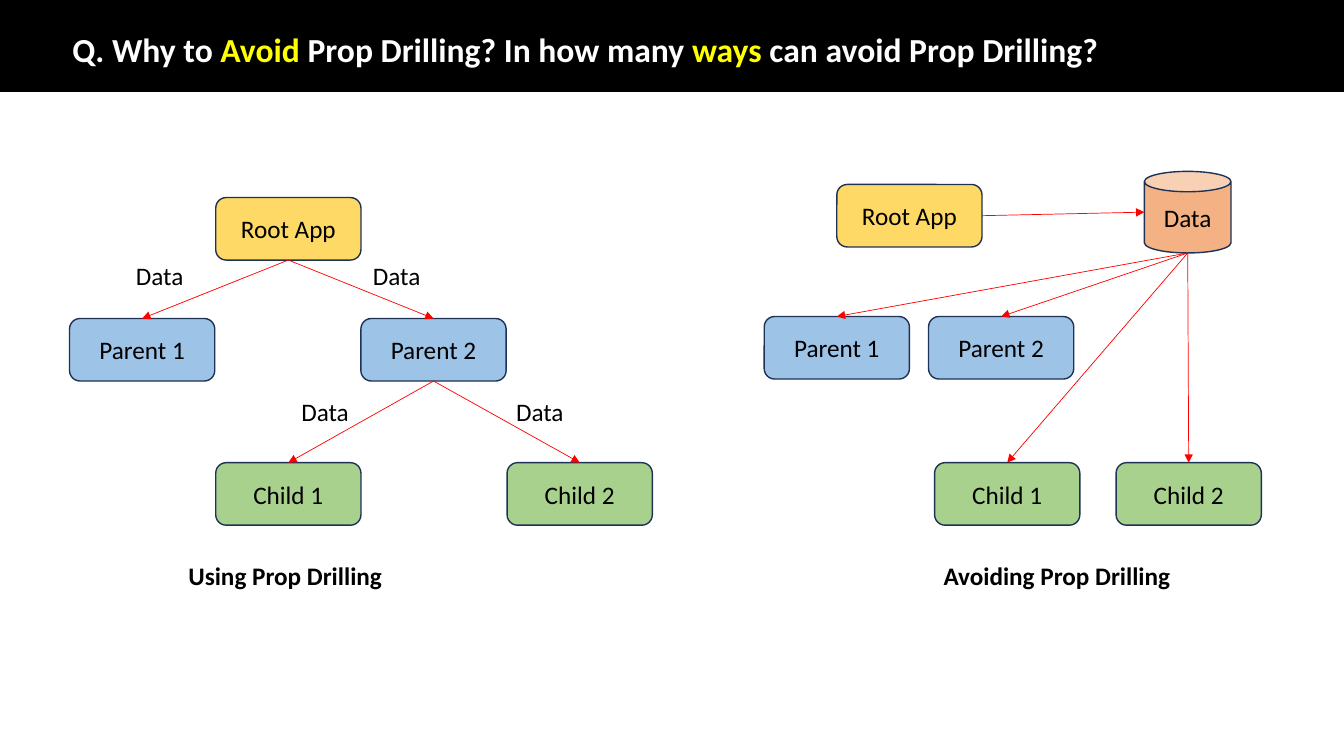
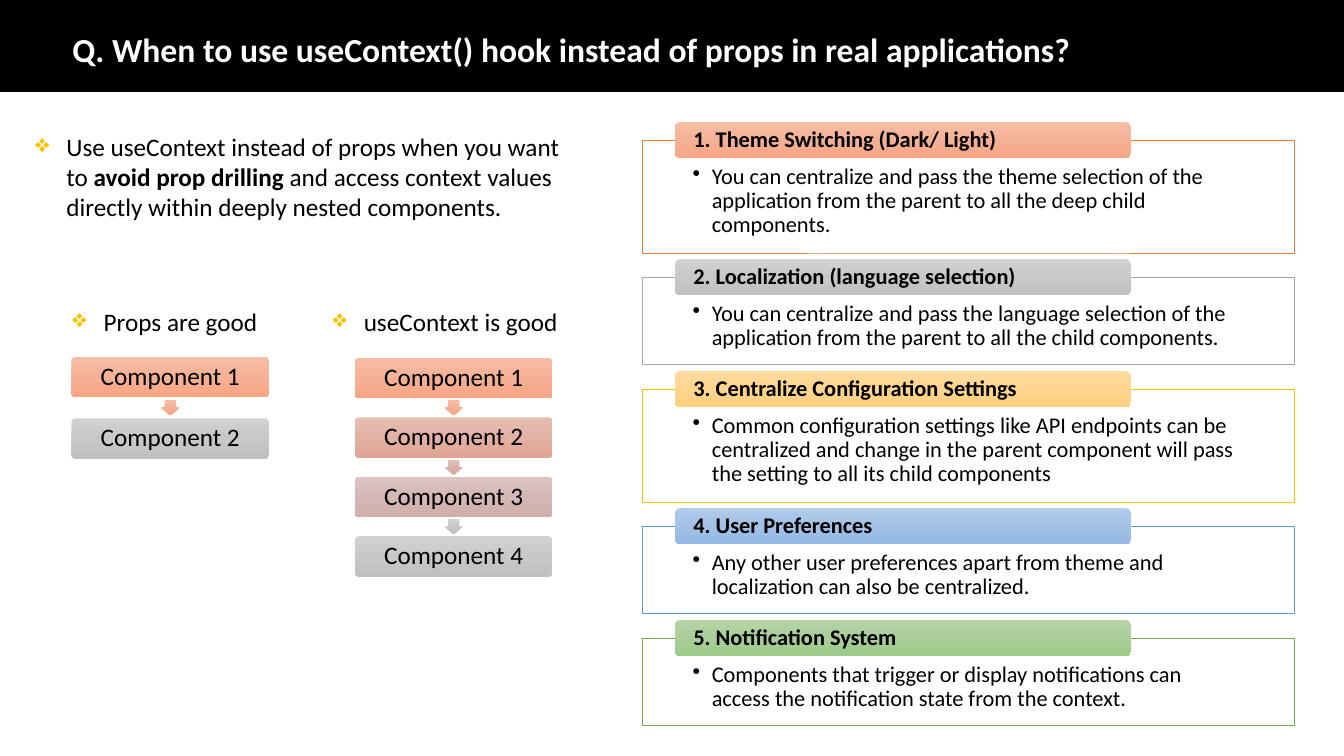
from copy import deepcopy

from lxml.etree import SubElement
from pptx import Presentation
from pptx.dml.color import RGBColor
from pptx.enum.shapes import MSO_CONNECTOR, MSO_SHAPE
from pptx.enum.text import MSO_ANCHOR, PP_ALIGN
from pptx.oxml.ns import qn
from pptx.util import Inches, Pt

# Colours
BLACK = RGBColor(0x00, 0x00, 0x00)
WHITE = RGBColor(0xFF, 0xFF, 0xFF)
YELLOW = RGBColor(0xFF, 0xFF, 0x00)
RED = RGBColor(0xFF, 0x00, 0x00)
NAVY = RGBColor(0x1E, 0x32, 0x56)
ROOT_YELLOW = RGBColor(0xFF, 0xD9, 0x66)
PARENT_BLUE = RGBColor(0x9D, 0xC3, 0xE6)
CHILD_GREEN = RGBColor(0xA9, 0xD1, 0x8E)
STORE_ORANGE = RGBColor(0xF4, 0xB1, 0x83)
ORANGE = RGBColor(0xED, 0x7D, 0x31)
GREY = RGBColor(0xA5, 0xA5, 0xA5)
GOLD = RGBColor(0xFF, 0xC0, 0x00)
BLUE = RGBColor(0x5B, 0x9B, 0xD5)
GREEN = RGBColor(0x70, 0xAD, 0x47)


def gradient(*codes):
    return [RGBColor.from_string(code) for code in codes]


# Gradients, top to bottom
ORANGE_FADE = gradient("F7BDA5", "F5B196", "F8A582")
GREY_FADE = gradient("D2D2D2", "C8C8C8", "C0C0C0")
GOLD_FADE = gradient("FFDB9E", "FFD590", "FFD07C")
BLUE_FADE = gradient("B1CBE9", "A3C1E5", "93B9E4")
GREEN_FADE = gradient("B5D5A7", "AACE9A", "9CC987")
ROSE_FADE = gradient("E7BDB1", "E2B1A3", "E1A493")
DUSK_FADE = gradient("E0C0B9", "DAB4AC", "D7A89E")
MAUVE_FADE = gradient("DBC4C1", "D3B8B5", "CFAEA9")

BODY = {"name": "Calibri", "size": Pt(18), "bold": False}
BOLD = {"bold": True}
TITLE = {"size": Pt(24), "bold": True}
TOPIC = {"size": Pt(16), "bold": True}
DETAIL = {"size": Pt(16)}

NODE_W, NODE_H = 1.44, 0.62
STEP_W, STEP_H = 1.96, 0.4


def apply(target, values):
    for name, value in values.items():
        setattr(target, name, value)


def add_bullet(paragraph, char, indent, color):
    props = paragraph._p.get_or_add_pPr()
    props.set("marL", str(Inches(indent)))
    props.set("indent", str(-Inches(indent)))
    bullet_color = SubElement(props, qn("a:buClr"))
    SubElement(bullet_color, qn("a:srgbClr")).set("val", str(color))
    SubElement(props, qn("a:buChar")).set("char", char)


def write(shape, runs, font=None, color=BLACK, align=PP_ALIGN.LEFT,
          anchor=MSO_ANCHOR.TOP, insets=(0.1, 0.05, 0.1, 0.05),
          spacing=None, bullet=None):
    """Fill a shape with one paragraph of (text, format, colour) runs."""
    frame = shape.text_frame
    sides = ("margin_left", "margin_top", "margin_right", "margin_bottom")
    apply(frame, {"word_wrap": True, "vertical_anchor": anchor,
                  **dict(zip(sides, map(Inches, insets)))})
    paragraph = frame.paragraphs[0]
    if bullet:
        add_bullet(paragraph, *bullet)
    apply(paragraph, {"alignment": align, "line_spacing": spacing})
    if isinstance(runs, str):
        runs = [(runs, {}, color)]
    for text, extra, run_color in runs:
        run = paragraph.add_run()
        run.text = text
        apply(run.font, {**BODY, **(font or {}), **extra})
        run.font.color.rgb = run_color


def add_text(slide, left, top, width, height, runs, **style):
    box = slide.shapes.add_textbox(*map(Inches, (left, top, width, height)))
    write(box, runs, **style)


def add_block(slide, preset, left, top, width, height, fill, line=None, weight=1):
    """Add a preset shape; a list of three colours gives a vertical gradient."""
    block = slide.shapes.add_shape(preset, *map(Inches, (left, top, width, height)))
    block.shadow.inherit = False
    if isinstance(fill, list):
        block.fill.gradient()
        block.fill.gradient_angle = 270
        stop_list = block._element.spPr.find(".//" + qn("a:gsLst"))
        stop_list.insert(1, deepcopy(stop_list[0]))
        for stop, color, position in zip(block.fill.gradient_stops, fill, (0, 0.5, 1)):
            stop.color.rgb = color
            stop.position = position
    else:
        block.fill.solid()
        block.fill.fore_color.rgb = fill
    if line is None:
        block.line.fill.background()
    else:
        block.line.color.rgb = line
        block.line.width = Pt(weight)
    return block


def add_titled_slide(deck, runs):
    slide = deck.slides.add_slide(deck.slide_layouts[6])
    add_block(slide, MSO_SHAPE.RECTANGLE, 0, 0, 13.33, 0.91, BLACK, BLACK)
    add_text(slide, 0.62, 0.34, 11.5, 0.35, runs, font=TITLE, color=WHITE,
             anchor=MSO_ANCHOR.MIDDLE, spacing=0.9)
    return slide


# Tree diagrams
def add_node(slide, text, left, top, fill, preset=MSO_SHAPE.ROUNDED_RECTANGLE,
             width=NODE_W, height=NODE_H):
    node = add_block(slide, preset, left, top, width, height, fill, NAVY)
    write(node, text, align=PP_ALIGN.CENTER, anchor=MSO_ANCHOR.MIDDLE)
    return node


def edge(node, side):
    across, down = {"top": (0.5, 0), "bottom": (0.5, 1),
                    "left": (0, 0.5), "right": (1, 0.5)}[side]
    return (int(node.left + across * node.width), int(node.top + down * node.height))


def add_arrow(slide, source, target, sides=("bottom", "top")):
    arrow = slide.shapes.add_connector(MSO_CONNECTOR.STRAIGHT,
                                       *edge(source, sides[0]), *edge(target, sides[1]))
    arrow.line.color.rgb = RED
    arrow.line.width = Pt(0.5)
    SubElement(arrow.line._get_or_add_ln(), qn("a:tailEnd")).set("type", "triangle")
    SubElement(arrow._element.spPr, qn("a:effectLst"))


def add_drilling_tree(slide):
    root = add_node(slide, "Root App", 2.14, 1.96, ROOT_YELLOW)
    parent_1 = add_node(slide, "Parent 1", 0.69, 3.16, PARENT_BLUE)
    parent_2 = add_node(slide, "Parent 2", 3.58, 3.16, PARENT_BLUE)
    child_1 = add_node(slide, "Child 1", 2.14, 4.59, CHILD_GREEN)
    child_2 = add_node(slide, "Child 2", 5.03, 4.59, CHILD_GREEN)
    for source, target in ((root, parent_1), (root, parent_2),
                           (parent_2, child_1), (parent_2, child_2)):
        add_arrow(slide, source, target)
    for left, top in ((1.25, 2.53), (3.6, 2.53), (2.89, 3.88), (5.02, 3.88)):
        add_text(slide, left, top, 0.86, 0.4, "Data")
    add_text(slide, 1.77, 5.51, 2.27, 0.4, "Using Prop Drilling", font=BOLD)


def add_shared_store(slide):
    root = add_node(slide, "Root App", 8.3, 1.83, ROOT_YELLOW)
    store = add_node(slide, "Data", 11.35, 1.7, STORE_ORANGE, MSO_SHAPE.CAN, 0.86, 0.81)
    add_arrow(slide, root, store, ("right", "left"))
    for text, left, top, fill in (("Parent 1", 7.58, 3.14, PARENT_BLUE),
                                  ("Parent 2", 9.21, 3.14, PARENT_BLUE),
                                  ("Child 1", 9.27, 4.59, CHILD_GREEN),
                                  ("Child 2", 11.07, 4.59, CHILD_GREEN)):
        add_arrow(slide, store, add_node(slide, text, left, top, fill))
    add_text(slide, 9.26, 5.51, 2.86, 0.4, "Avoiding Prop Drilling", font=BOLD)


# Component chains
def add_chain(slide, left, top, pitch, step_fades, arrow_fades):
    for index, fade in enumerate(step_fades):
        step_top = top + index * pitch
        step = add_block(slide, MSO_SHAPE.ROUNDED_RECTANGLE, left, step_top,
                         STEP_W, STEP_H, fade)
        step.adjustments[0] = 0.1
        write(step, f"Component {index + 1}", align=PP_ALIGN.CENTER,
              anchor=MSO_ANCHOR.MIDDLE, insets=(0.07,) * 4, spacing=0.9)
        if index < len(arrow_fades):
            width, height = 0.18, 0.15
            arrow = add_block(slide, MSO_SHAPE.DOWN_ARROW, left + (STEP_W - width) / 2,
                              step_top + (STEP_H + pitch - height) / 2,
                              width, height, arrow_fades[index])
            arrow.adjustments[0] = 0.6
            arrow.adjustments[1] = 0.5


# Use-case panels
def add_use_cases(slide, use_cases):
    top = 1.39
    for number, (topic, detail, height, line, fade) in enumerate(use_cases, 1):
        panel = add_block(slide, MSO_SHAPE.RECTANGLE, 6.37, top, 6.47, height,
                          WHITE, line, 0.5)
        write(panel, detail, font=DETAIL, insets=(0.5, 0.25, 0.5, 0.12),
              spacing=0.9, bullet=("•", 0.19, BLACK))
        tab = add_block(slide, MSO_SHAPE.ROUNDED_RECTANGLE, 6.69, top - 0.18,
                        4.53, 0.36, fade)
        write(tab, f"{number}. {topic}", font=TOPIC, anchor=MSO_ANCHOR.MIDDLE,
              insets=(0.17, 0, 0.17, 0), spacing=0.9)
        top += height + 0.24


def build_avoiding_slide(deck):
    slide = add_titled_slide(deck, [
        ("Q. Why to ", {}, WHITE), ("Avoid", {}, YELLOW),
        (" Prop Drilling? In how many ", {}, WHITE), ("ways", {}, YELLOW),
        (" can avoid Prop Drilling?", {}, WHITE)])
    add_drilling_tree(slide)
    add_shared_store(slide)


def build_use_context_slide(deck):
    slide = add_titled_slide(
        deck, "Q. When to use useContext() hook instead of props in real applications?")
    add_use_cases(slide, [
        ("Theme Switching (Dark/ Light)",
         "You can centralize and pass the theme selection of the application "
         "from the parent to all the deep child components.",
         1.12, ORANGE, ORANGE_FADE),
        ("Localization (language selection)",
         "You can centralize and pass the language selection of the application "
         "from the parent to all the child components.",
         0.87, GREY, GREY_FADE),
        ("Centralize Configuration Settings",
         "Common configuration settings like API endpoints can be centralized and "
         "change in the parent component will pass the setting to all its child components",
         1.12, GOLD, GOLD_FADE),
        ("User Preferences",
         "Any other user preferences apart from theme and localization "
         "can also be centralized.",
         0.87, BLUE, BLUE_FADE),
        ("Notification System",
         "Components that trigger or display notifications can access "
         "the notification state from the context.",
         0.87, GREEN, GREEN_FADE)])
    diamond = ("❖", 0.31, GOLD)
    add_text(slide, 0.25, 1.25, 5.55, 1.01, [
        ("Use useContext instead of props when you want to ", {}, BLACK),
        ("avoid prop drilling", BOLD, BLACK),
        (" and access context values directly within deeply nested components.",
         {}, BLACK)], bullet=diamond)
    add_text(slide, 0.62, 2.99, 2.05, 0.4, "Props are good", bullet=diamond)
    add_text(slide, 3.2, 2.99, 2.46, 0.4, "useContext is good", bullet=diamond)
    add_chain(slide, 0.71, 3.54, 0.61, [ORANGE_FADE, GREY_FADE], [ORANGE_FADE])
    add_chain(slide, 3.52, 3.55, 0.59, [ORANGE_FADE, ROSE_FADE, MAUVE_FADE, GREY_FADE],
              [ORANGE_FADE, DUSK_FADE, GREY_FADE])


def main():
    deck = Presentation()
    deck.slide_width, deck.slide_height = Inches(13.33), Inches(7.5)
    build_avoiding_slide(deck)
    build_use_context_slide(deck)
    deck.save("out.pptx")


if __name__ == "__main__":
    main()
